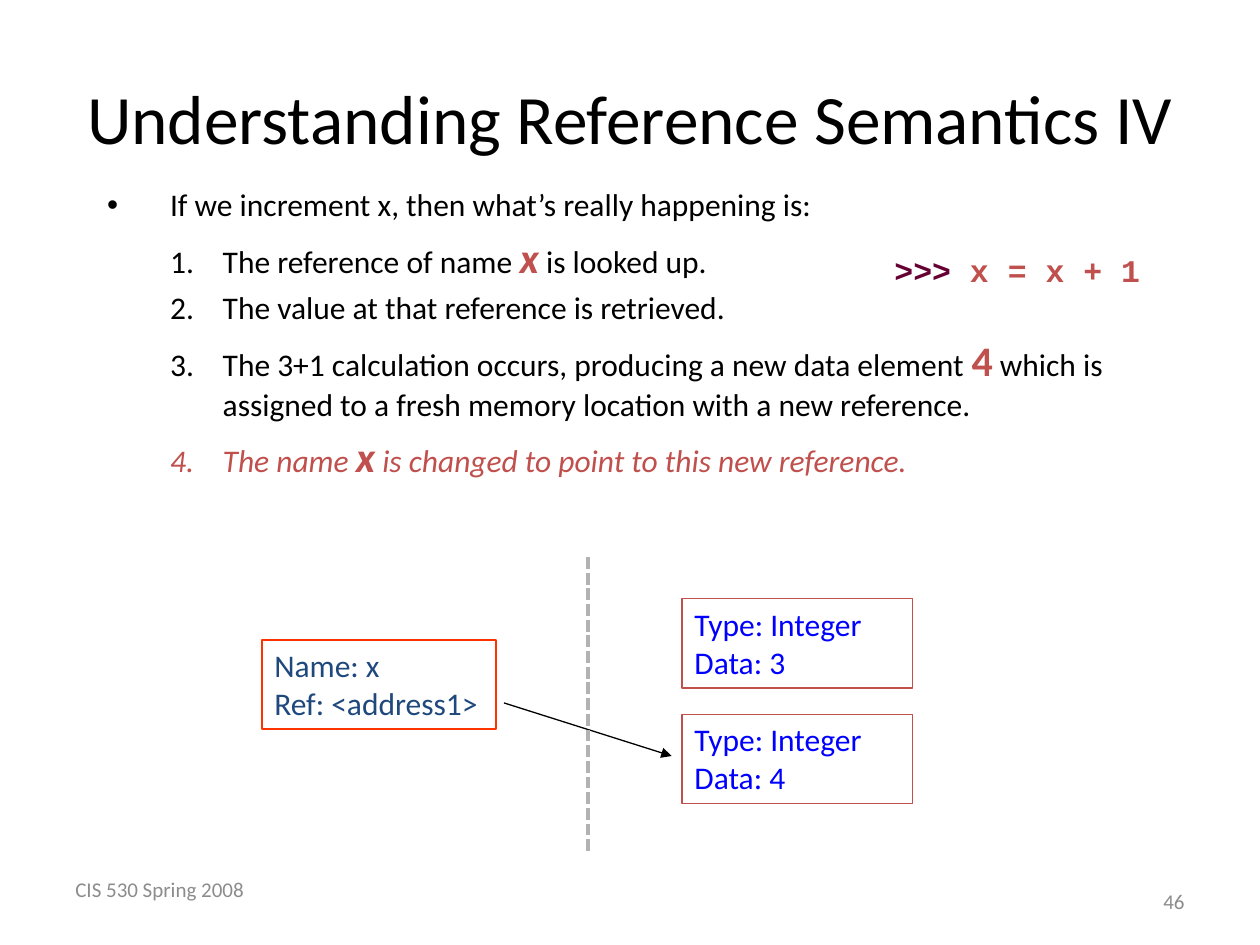
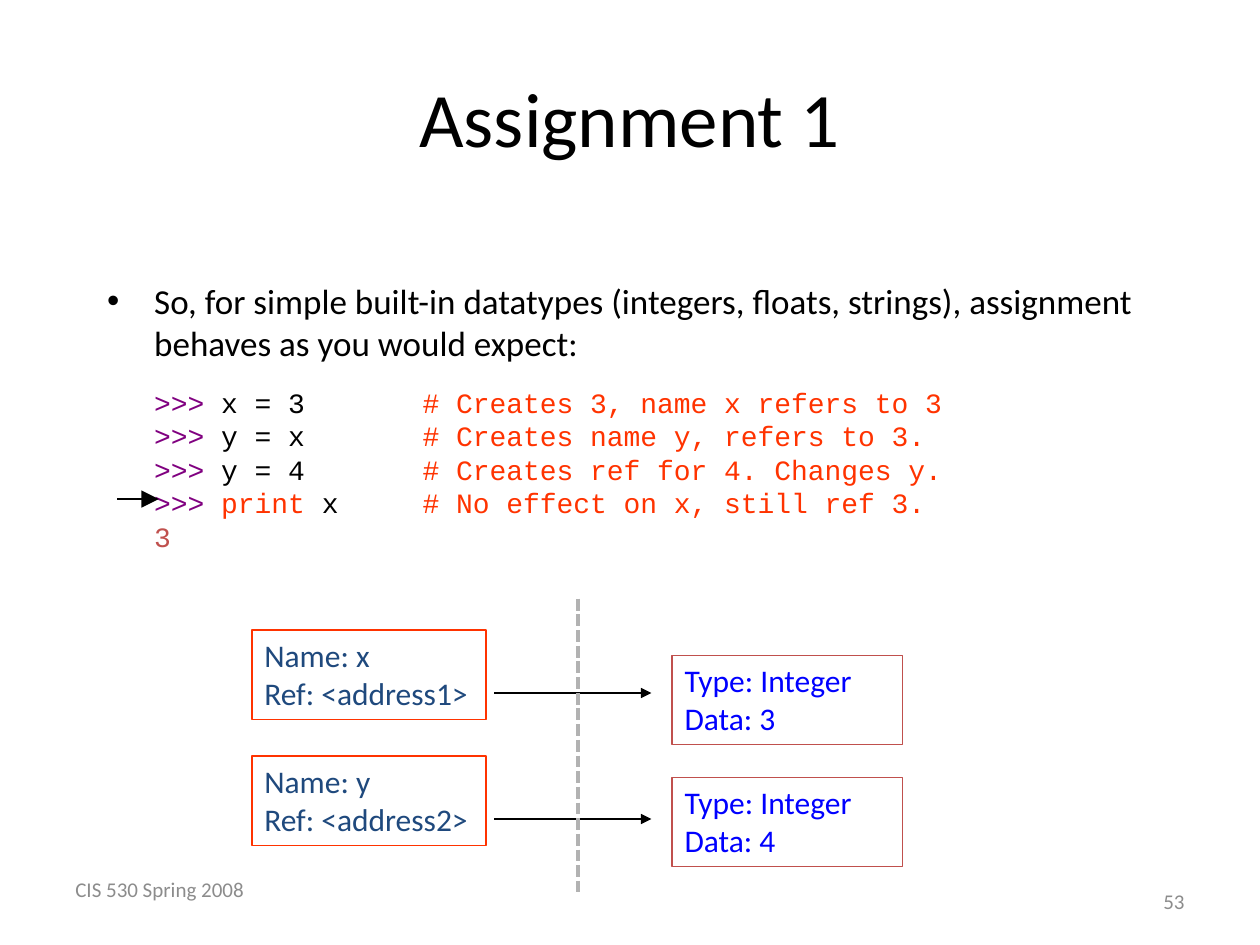
from lxml import etree
from pptx import Presentation
from pptx.dml.color import RGBColor
from pptx.enum.dml import MSO_LINE_DASH_STYLE as Dash
from pptx.enum.shapes import MSO_CONNECTOR as Connector, MSO_SHAPE as Shape
from pptx.enum.text import MSO_ANCHOR as Anchor, PP_ALIGN as Align
from pptx.oxml.ns import qn
from pptx.util import Cm, Pt

COLORS = {
    "black": "000000", "footer": "8C8C8C", "accent": "C0504D", "name": "1F497D",
    "name_border": "FF3300", "data": "0000FF", "divider": "B2B2B2",
    "prompt": "660033", "code_prompt": "800080", "comment": "FF3300",
}
SANS, MONO = "Calibri", "Courier New"
FOOTER = "CIS 530 Spring 2008"

# A run is (text, overrides); overrides are size, color, bold and italic.
RED_X = dict(size=24, color="accent", bold=True, italic=True)
RED_ITALIC = dict(color="accent", italic=True)
INTRO = [("If we increment x, then what’s really happening is:", {})]
STEPS = [
    [("The reference of name ", {}), ("x", RED_X), (" is looked up.", {})],
    [("The value at that reference is retrieved.", {})],
    [("The 3+1 calculation occurs, producing a new data element ", {}),
     ("4", dict(size=24, color="accent", bold=True)),
     (" which is assigned to a fresh memory location with a new reference.", {})],
    [("The name ", RED_ITALIC), ("x", RED_X),
     (" is changed to point to this new reference.", RED_ITALIC)],
]
INCREMENT = [(">>> ", dict(color="prompt", bold=True)),
             ("x = x + 1", dict(color="accent", bold=True))]
SUMMARY = [("So, for simple built-in datatypes (integers, floats, strings), "
            "assignment behaves as you would expect:", {})]
PROMPT = (">>> ", dict(color="code_prompt"))
SESSION = [
    ([PROMPT, ("x = 3", {})], "# Creates 3, name x refers to 3"),
    ([PROMPT, ("y = x", {})], "# Creates name y, refers to 3."),
    ([PROMPT, ("y = 4", {})], "# Creates ref for 4. Changes y."),
    ([PROMPT, ("print ", dict(color="comment")), ("x", {})],
     "# No effect on x, still ref 3."),
    ([("3", dict(color="accent"))], None),
]

# Diagrams in cm: names and data carry their top, arrows their start and end.
REBOUND = dict(
    left=5.28, divider_top=11.23, arrow_end=8.26,
    names=[(12.9, "x", 1)], data=[(12.07, 3), (14.4, 4)], arrows=[(14.17, 15.24)],
)
TWO_NAMES = dict(
    left=5.08, divider_top=12.07, arrow_end=8.05,
    names=[(12.7, "x", 1), (15.24, "y", 2)], data=[(13.21, 3), (15.67, 4)],
    arrows=[(13.97, 13.97), (16.51, 16.51)],
)
NAME_WIDTH, DATA_WIDTH, BOX_HEIGHT = 4.72, 4.65, 1.8
ARROW_START, DIVIDER_AT, DATA_AT, DIVIDER_LENGTH = 4.88, 6.57, 8.47, 5.92


def rgb(name):
    return RGBColor.from_string(COLORS[name])


def write(paragraph, runs, size=18, color="black", font=SANS):
    paragraph.font.size, paragraph.font.name = Pt(size), font
    for text, style in runs:
        run = paragraph.add_run()
        run.text = text
        run.font.name = font
        run.font.size = Pt(style.get("size", size))
        run.font.color.rgb = rgb(style.get("color", color))
        run.font.bold = style.get("bold", False)
        run.font.italic = style.get("italic", False)


def add_text(slide, left, top, width, height, anchor=Anchor.TOP):
    frame = slide.shapes.add_textbox(Cm(left), Cm(top), Cm(width), Cm(height)).text_frame
    frame.word_wrap = True
    frame.vertical_anchor = anchor
    return frame


def add_bullet(paragraph, margin, hanging, numbered=False):
    properties = paragraph._p.get_or_add_pPr()
    properties.set("marL", str(Cm(margin)))
    properties.set("indent", str(-Cm(hanging)))
    if numbered:
        etree.SubElement(properties, qn("a:buFont")).set("typeface", "+mj-lt")
        etree.SubElement(properties, qn("a:buAutoNum")).set("type", "arabicPeriod")
    else:
        etree.SubElement(properties, qn("a:buFont")).set("typeface", "Arial")
        etree.SubElement(properties, qn("a:buChar")).set("char", "•")


def add_line(slide, start, end, color="black", width=0.75, head=None):
    """Straight line; head is the size of the arrowhead at its end."""
    line = slide.shapes.add_connector(Connector.STRAIGHT, *map(Cm, start + end))
    line.line.color.rgb = rgb(color)
    line.line.width = Pt(width)
    if head:
        tail = etree.SubElement(line.line._get_or_add_ln(), qn("a:tailEnd"))
        for key, value in (("type", "triangle"), ("w", head), ("len", head)):
            tail.set(key, value)
    etree.SubElement(line._element.spPr, qn("a:effectLst"))
    return line


def add_box(slide, left, top, width, lines, color, border):
    box = slide.shapes.add_shape(Shape.RECTANGLE, Cm(left), Cm(top), Cm(width), Cm(BOX_HEIGHT))
    box.shadow.inherit = False
    box.fill.background()
    box.line.color.rgb = rgb(border)
    box.line.width = Pt(0.75)
    frame = box.text_frame
    frame.word_wrap = True
    frame.vertical_anchor = Anchor.TOP
    for index, text in enumerate(lines):
        paragraph = frame.add_paragraph() if index else frame.paragraphs[0]
        paragraph.alignment = Align.LEFT
        write(paragraph, [(text, {})], color=color)


def add_diagram(slide, diagram):
    left = diagram["left"]
    for top, value in diagram["data"]:
        add_box(slide, left + DATA_AT, top, DATA_WIDTH,
                ["Type: Integer", f"Data: {value}"], "data", "accent")
    for top, name, address in diagram["names"]:
        add_box(slide, left, top, NAME_WIDTH,
                [f"Name: {name}", f"Ref: <address{address}>"], "name", "name_border")
    for start, end in diagram["arrows"]:
        add_line(slide, (left + ARROW_START, start), (left + diagram["arrow_end"], end),
                 head="med")
    x, top = left + DIVIDER_AT, diagram["divider_top"]
    divider = add_line(slide, (x, top), (x, top + DIVIDER_LENGTH), "divider", 2.25)
    divider.line.dash_style = Dash.SQUARE_DOT


def add_slide(presentation, title, title_size, number):
    """Blank slide with the shared title, footer and slide number."""
    slide = presentation.slides.add_slide(presentation.slide_layouts[6])
    footer = add_text(slide, 1.27, 17.42, 5.92, 1.02, Anchor.MIDDLE)
    write(footer.paragraphs[0], [(FOOTER, {})], 12, "footer")
    page = add_text(slide, 18.21, 17.65, 5.92, 1.02, Anchor.MIDDLE).paragraphs[0]
    page.alignment = Align.RIGHT
    write(page, [(str(number), {})], 12, "footer")
    heading = add_text(slide, 1.27, 0.76, 22.86, 3.18, Anchor.MIDDLE).paragraphs[0]
    heading.alignment = Align.CENTER
    write(heading, [(title, {})], title_size)
    return slide


def add_semantics_slide(presentation):
    slide = add_slide(presentation, "Understanding Reference Semantics IV", 39.6, 46)
    body = add_text(slide, 1.91, 3.61, 21.59, 7)
    write(body.paragraphs[0], INTRO)
    add_bullet(body.paragraphs[0], 1.27, 1.27)
    for runs in STEPS:
        paragraph = body.add_paragraph()
        largest = max(style.get("size", 18) for _, style in runs)
        paragraph.space_before = Pt(0.2 * largest)
        write(paragraph, runs)
        add_bullet(paragraph, 2.33, 1.06, numbered=True)
    add_diagram(slide, REBOUND)
    write(add_text(slide, 17.78, 4.93, 6.55, 1).paragraphs[0], INCREMENT, font=MONO)


def add_assignment_slide(presentation):
    slide = add_slide(presentation, "Assignment 1", 44, 53)
    body = add_text(slide, 1.91, 5.5, 21.59, 2)
    write(body.paragraphs[0], SUMMARY, 20)
    add_bullet(body.paragraphs[0], 0.95, 0.95)

    session = add_text(slide, 2.86, 7.65, 20, 3.7)
    for index, (code, comment) in enumerate(SESSION):
        paragraph = session.add_paragraph() if index else session.paragraphs[0]
        paragraph.line_spacing = Pt(19.1)
        tabs = etree.SubElement(paragraph._p.get_or_add_pPr(), qn("a:tabLst"))
        tab = etree.SubElement(tabs, qn("a:tab"))
        tab.set("pos", str(Cm(5.41)))
        tab.set("algn", "l")
        remark = [("\t" + comment, dict(color="comment"))] if comment else []
        write(paragraph, code + remark, 16, font=MONO)

    add_diagram(slide, TWO_NAMES)
    add_line(slide, (2.36, 10.06), (3.2, 10.06), head="lg")


def main():
    presentation = Presentation()
    presentation.slide_width, presentation.slide_height = Cm(25.4), Cm(19.05)
    add_semantics_slide(presentation)
    add_assignment_slide(presentation)
    presentation.save("out.pptx")


if __name__ == "__main__":
    main()
